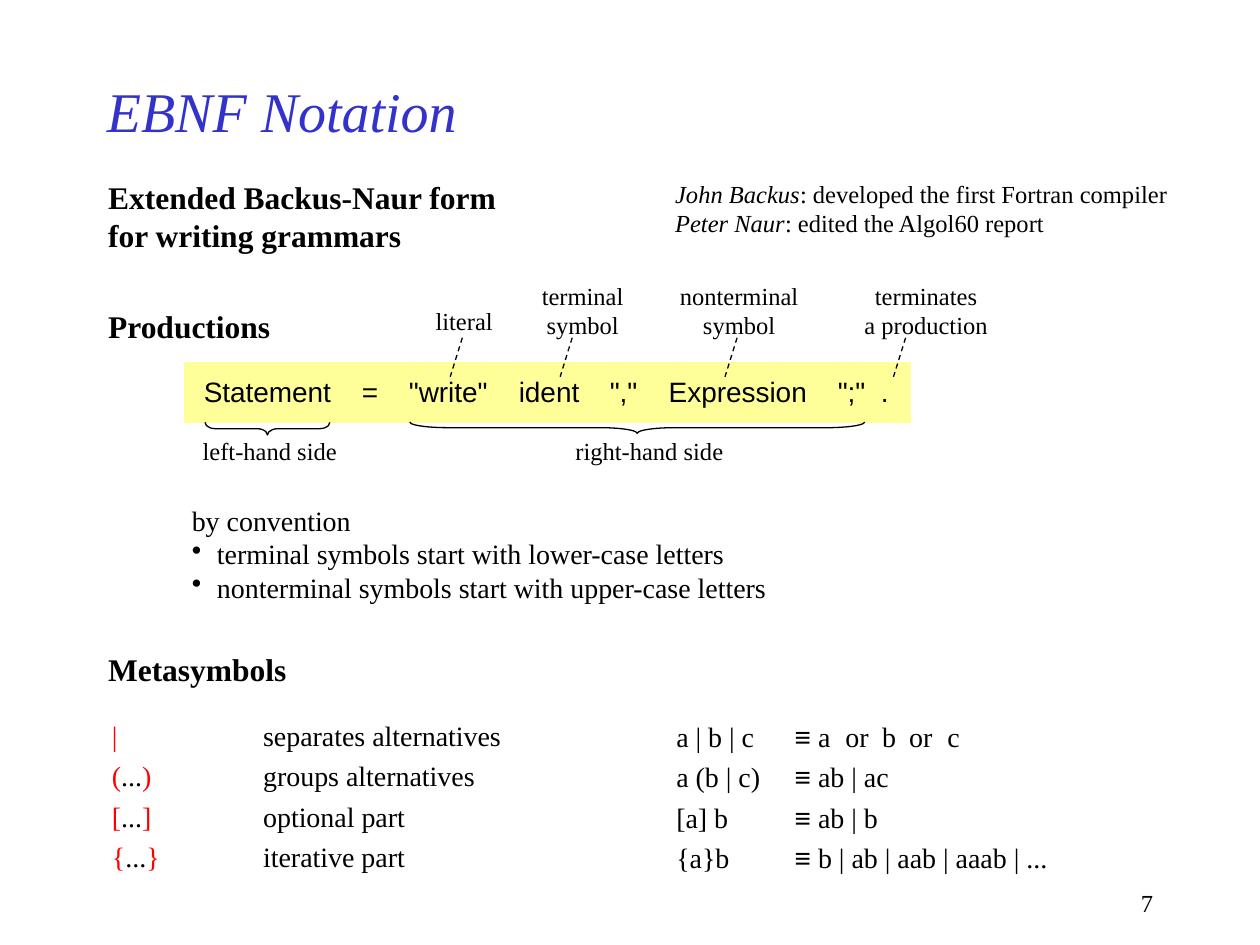
import pptx
import pptx.util
import pptx.dml.color
import pptx.enum.dml
import pptx.enum.shapes
import pptx.enum.text
import pptx.oxml
import pptx.oxml.ns
import lxml.etree

Pt = pptx.util.Pt
MSO = pptx.enum.shapes.MSO_SHAPE
ALIGN = pptx.enum.text.PP_ALIGN
SERIF = "Times New Roman"


def rgb(color):
    return pptx.dml.color.RGBColor.from_string(color)


def add_text(box, paras, size=14, align=ALIGN.LEFT, gap=0, tabs=(), indent=0, bullets=(), wrap=False, **font):
    tb = s.shapes.add_textbox(*[Pt(v) for v in box])
    tf = tb.text_frame
    tf.word_wrap = wrap
    if not wrap:
        tf.auto_size = pptx.enum.text.MSO_AUTO_SIZE.SHAPE_TO_FIT_TEXT
    for i, runs in enumerate(paras):
        p = tf.paragraphs[0] if i == 0 else tf.add_paragraph()
        p.alignment = align
        p.space_before = Pt(gap if i else 0)
        pPr = p._p.get_or_add_pPr()
        if indent:
            pPr.set("marL", str(Pt(indent)))
            pPr.set("indent", str(-Pt(indent)))
        if i in bullets:
            bu = lxml.etree.SubElement(pPr, pptx.oxml.ns.qn("a:buChar"))
            bu.set("char", "•")
        if tabs:
            tab_list = lxml.etree.SubElement(pPr, pptx.oxml.ns.qn("a:tabLst"))
            for pos in tabs:
                tab = lxml.etree.SubElement(tab_list, pptx.oxml.ns.qn("a:tab"))
                tab.set("pos", str(Pt(pos)))
                tab.set("algn", "l")
        for text, own in [(runs, {})] if isinstance(runs, str) else runs:
            r = p.add_run()
            r.text = text
            fmt = {"name": SERIF, "size": Pt(size), "color": "000000", **font, **own}
            r.font.color.rgb = rgb(fmt.pop("color"))
            for key, value in fmt.items():
                setattr(r.font, key, value)
    return tf


prs = pptx.Presentation()
prs.slide_width, prs.slide_height = Pt(720), Pt(540)
s = prs.slides.add_slide(prs.slide_layouts[6])

sp = s.shapes.add_shape(MSO.RECTANGLE, Pt(105.8), Pt(207.4), Pt(414.7), Pt(33.8))
sp.shadow.inherit = False
sp.fill.solid()
sp.fill.fore_color.rgb = rgb("FFFF99")
sp.line.color.rgb = rgb("FFFF99")
sp.line.width = Pt(0.75)

tf = add_text((54, 36, 540, 54), ["EBNF Notation"], 32, wrap=True, color="3333CC", italic=True)
tf.vertical_anchor = pptx.enum.text.MSO_ANCHOR.MIDDLE

headings = [
    (98.2, 240, 50.4, ["Extended Backus-Naur form", "for writing grammars"]),
    (171.7, 112, 28.8, ["Productions"]),
    (368, 122, 28.8, ["Metasymbols"]),
]
for y, w, h, lines in headings:
    add_text((54.7, y, w, h), lines, 18, bold=True)

people = [("John Backus", ": developed the first Fortran compiler"), ("Peter Naur", ": edited the Algol60 report")]
add_text((378.7, 98.8, 300, 41), [[(name, {"italic": True}), (role, {})] for name, role in people])

production = ["Statement", "=", '"write"', "ident", '","', "Expression", '";"', "."]
add_text((109.4, 210.6, 410, 26.6), ["\t".join(production)], 16,
         tabs=(90.3, 117.2, 180, 232, 265.7, 362.3, 386.9), name="Arial")

labels = [
    (265.3, 171.4, 52, 24.5, ["literal"]),
    (333, 157, 66, 41, ["terminal", "symbol"]),
    (422.4, 157, 88, 41, ["nonterminal", "symbol"]),
    (529.2, 157, 90, 41, ["terminates", "a production"]),
    (154.2, 245.5, 98, 24.5, ["left-hand side"]),
    (371.1, 245.5, 106, 24.5, ["right-hand side"]),
]
for cx, y, w, h, lines in labels:
    add_text((cx - w / 2, y, w, h), lines, align=ALIGN.CENTER)

for x in (264.2, 327, 421.2, 517.5):
    c = s.shapes.add_connector(pptx.enum.shapes.MSO_CONNECTOR.STRAIGHT, Pt(x), Pt(193), Pt(x - 6.9), Pt(215.3))
    c.line.color.rgb = rgb("000000")
    c.line.width = Pt(0.75)
    c.line.dash_style = pptx.enum.dml.MSO_LINE.DASH
    lxml.etree.SubElement(c._element.spPr, pptx.oxml.ns.qn("a:effectLst"))

for cx, cy, depth, span in [(152.8, 245, 7.2, 71.3), (364.1, 244.4, 6.5, 260)]:
    sp = s.shapes.add_shape(MSO.RIGHT_BRACE, Pt(cx - depth / 2), Pt(cy - span / 2), Pt(depth), Pt(span))
    sp.rotation = 90
    sp.adjustments[0] = span / depth / 12
    sp.shadow.inherit = False
    sp.fill.background()
    sp.line.color.rgb = rgb("000000")
    sp.line.width = Pt(0.75)

conventions = [
    "by convention",
    "terminal symbols start with lower-case letters",
    "nonterminal symbols start with upper-case letters",
]
add_text((102.5, 284, 348, 64.8), conventions, 16, indent=14.4, bullets=(1, 2))

red = {"color": "FF0000"}
symbols = [[("|", red)]] + [[(a, red), ("...", {}), (b, red)] for a, b in ("()", "[]", "{}")]
meanings = ["separates alternatives", "groups alternatives", "optional part", "iterative part"]
examples = [
    ("a | b | c", " a\tor\tb\tor\tc"),
    ("a (b | c)", " ab | ac"),
    ("[a] b", " ab | b"),
    ("{a}b", " b | ab | aab | aaab | ..."),
]
add_text((56.9, 406.8, 46, 92.5), symbols, 16, gap=4)
add_text((143.3, 406.8, 155, 92.5), meanings, 16, gap=4)
add_text((379.4, 407.4, 235, 92.5),
         [[(left + "\t", {}), ("≡", {"name": "Arial"}), (right, {})] for left, right in examples],
         16, gap=4, tabs=(67.7, 96.6, 117.7, 133.1, 154.9))

add_text((516.2, 504, 149.8, 23.8), ["7"], align=ALIGN.RIGHT, wrap=True)

prs.save("out.pptx")
